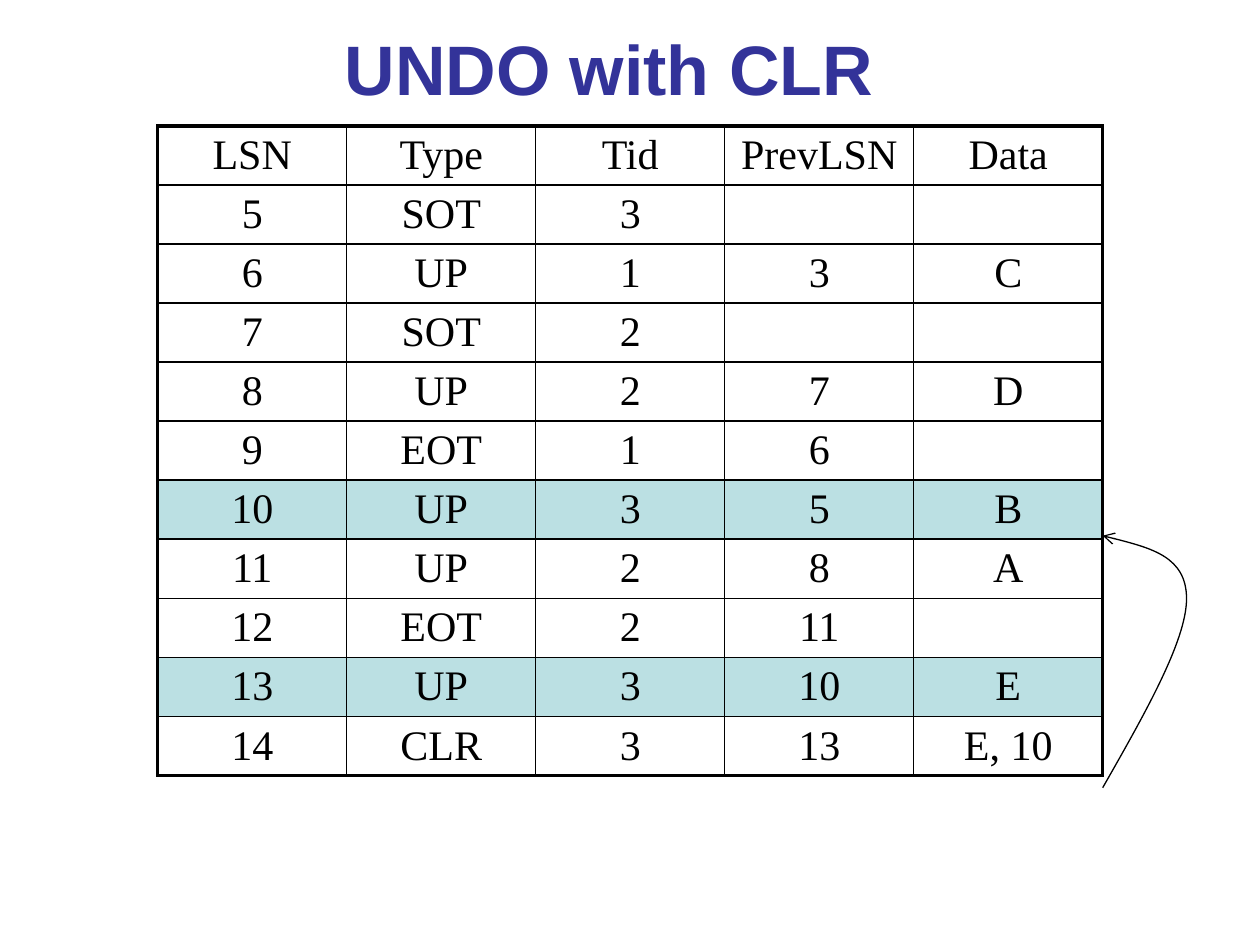
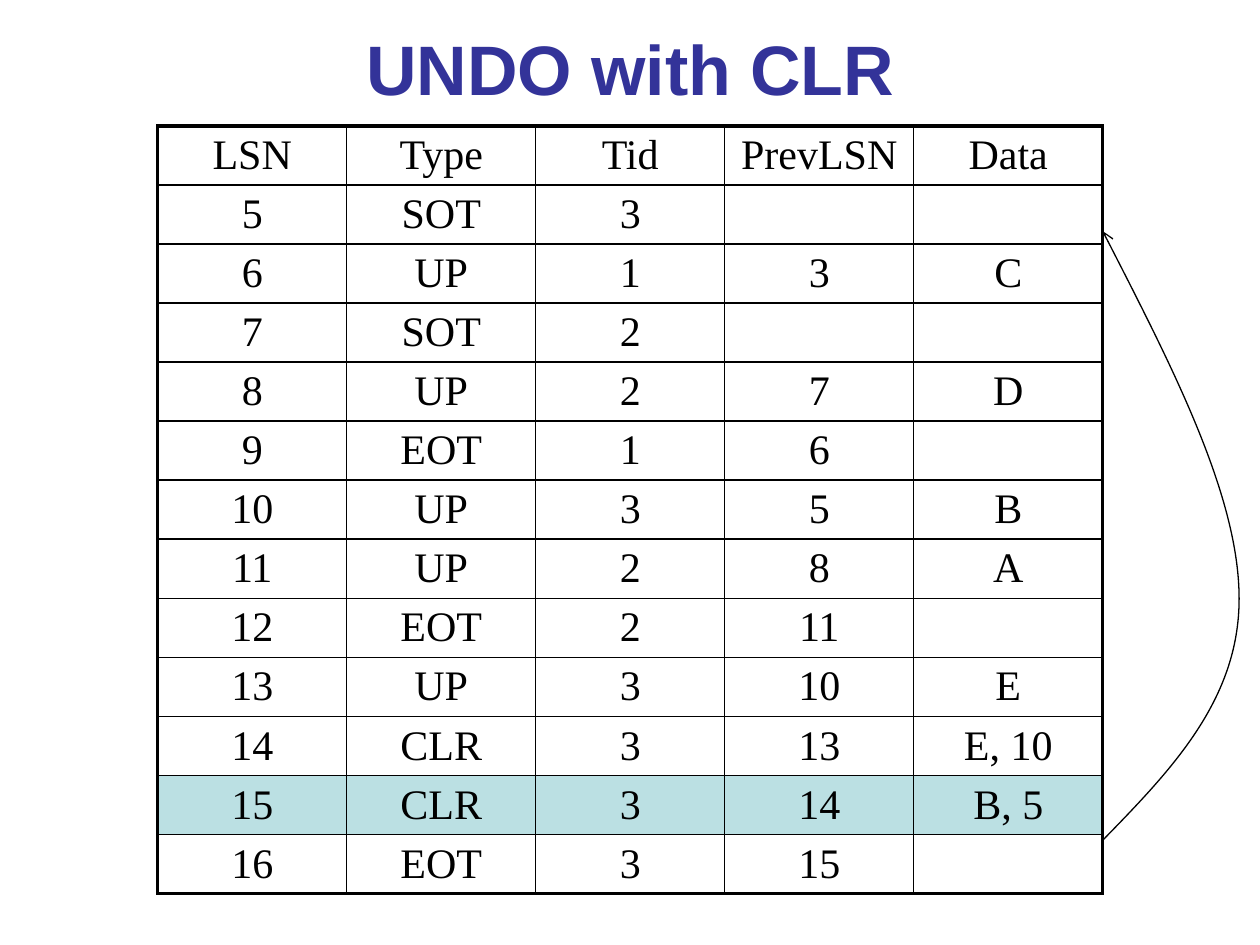
from dataclasses import dataclass

from lxml import etree
from pptx import Presentation
from pptx.dml.color import RGBColor
from pptx.enum.text import MSO_ANCHOR, MSO_AUTO_SIZE, PP_ALIGN
from pptx.oxml.ns import qn
from pptx.util import Cm, Pt

MIDDLE = MSO_ANCHOR.MIDDLE
FIXED = MSO_AUTO_SIZE.NONE
CENTER = PP_ALIGN.CENTER


@dataclass(frozen=True)
class Theme:
    ink: str = "000000"
    paper: str = "FFFFFF"
    head: str = "333399"
    mark: str = "BBE0E3"
    sans: str = "Arial"
    serif: str = "Times New Roman"
    big: float = 40
    text: float = 24
    thick: float = 2.25
    thin: float = 1
    fine: float = 0.75


THEME = Theme()
HEADS = ("LSN", "Type", "Tid", "PrevLSN", "Data")
LOG = [
    ("5", "SOT", "3", "", ""),
    ("6", "UP", "1", "3", "C"),
    ("7", "SOT", "2", "", ""),
    ("8", "UP", "2", "7", "D"),
    ("9", "EOT", "1", "6", ""),
    ("10", "UP", "3", "5", "B"),
    ("11", "UP", "2", "8", "A"),
    ("12", "EOT", "2", "11", ""),
    ("13", "UP", "3", "10", "E"),
    ("14", "CLR", "3", "13", "E, 10"),
    ("15", "CLR", "3", "14", "B, 5"),
    ("16", "EOT", "3", "15", ""),
]
COL, ROW = 3.81, 1.19
GRID = (3.18, 2.54)
EDGE = 22.23


def apply(item, **vals):
    for key, val in vals.items():
        setattr(item, key, val)


def style(para, face, size, color, bold=False):
    para.alignment = CENTER
    apply(para.font, name=face, size=Pt(size), bold=bold)
    para.font.color.rgb = RGBColor.from_string(color)


def add_title(slide, box, text):
    title = slide.shapes.title
    left, top, width, height = map(Cm, box)
    apply(title, left=left, top=top, width=width, height=height)
    frame = title.text_frame
    apply(frame, text=text, auto_size=FIXED, vertical_anchor=MIDDLE)
    style(frame.paragraphs[0], THEME.sans, THEME.big, THEME.head, True)


def add_edges(cell, outer):
    props = cell._tc.get_or_add_tcPr()
    for spot, side in enumerate("LRTB"):
        width = Pt(THEME.thick if side in outer else THEME.thin)
        line = etree.Element(qn("a:ln" + side), w=str(int(width)))
        fill = etree.SubElement(line, qn("a:solidFill"))
        etree.SubElement(fill, qn("a:srgbClr"), val=THEME.ink)
        props.insert(spot, line)


def add_cell(cell, text, fill, outer):
    apply(cell, text=text, vertical_anchor=MIDDLE,
          margin_top=Cm(0.1), margin_bottom=Cm(0.1))
    style(cell.text_frame.paragraphs[0], THEME.serif, THEME.text, THEME.ink)
    cell.fill.solid()
    cell.fill.fore_color.rgb = RGBColor.from_string(fill)
    add_edges(cell, outer)


def add_log(slide, spot, rows, marks):
    rows = [HEADS, *rows]
    last, end = len(rows) - 1, len(HEADS) - 1
    left, top = spot
    table = slide.shapes.add_table(
        len(rows), len(HEADS), Cm(left), Cm(top),
        Cm(COL * len(HEADS)), Cm(ROW * len(rows))).table
    apply(table, first_row=False, horz_banding=False)
    for r, row in enumerate(rows):
        table.rows[r].height = Cm(ROW)
        fill = THEME.mark if row[0] in marks else THEME.paper
        for c, text in enumerate(row):
            sides = {"L": c == 0, "R": c == end, "T": r == 0, "B": r == last}
            outer = [side for side, hit in sides.items() if hit]
            add_cell(table.cell(r, c), text, fill, outer)


def add_curve(slide, box, bend):
    left, top, width, height = box
    low, high = bend + height / 6, bend - height / 6
    dots = [(0, height), (width / 2, (height + low) / 2), (width, low),
            (width, bend), (width, high), (width / 2, high / 2), (0, 0)]
    dots = [(Cm(left + x), Cm(top + y)) for x, y in dots]
    build = slide.shapes.build_freeform(*dots[0])
    build.add_line_segments(dots[1:], close=False)
    curve = build.convert_to_shape()
    curve.shadow.inherit = False
    curve.fill.background()
    curve.line.width = Pt(THEME.fine)
    curve.line.color.rgb = RGBColor.from_string(THEME.ink)
    lines = list(curve.element.iter(qn("a:lnTo")))
    for i in range(0, len(lines), 3):
        arc = etree.Element(qn("a:cubicBezTo"))
        lines[i].addprevious(arc)
        for line in lines[i:i + 3]:
            arc.append(line[0])
            line.getparent().remove(line)
    stroke = curve.element.spPr.find(qn("a:ln"))
    etree.SubElement(stroke, qn("a:tailEnd"), type="arrow")


def add_page(deck, left, rows, marks, loop, bend):
    slide = deck.slides.add_slide(deck.slide_layouts[5])
    add_title(slide, (left, 0, 21.59, 2.74), "UNDO with CLR")
    add_log(slide, GRID, rows, marks)
    add_curve(slide, loop, bend)


deck = Presentation()
apply(deck, slide_width=Cm(25.4), slide_height=Cm(19.05))
add_page(deck, 1.48, LOG[:10], ("10", "13"), (EDGE, 10.8, 1.69, 5.08), 1.27)
add_page(deck, 1.91, LOG, ("15",), (EDGE, 4.66, 2.75, 12.28), 7.41)
deck.save("out.pptx")
